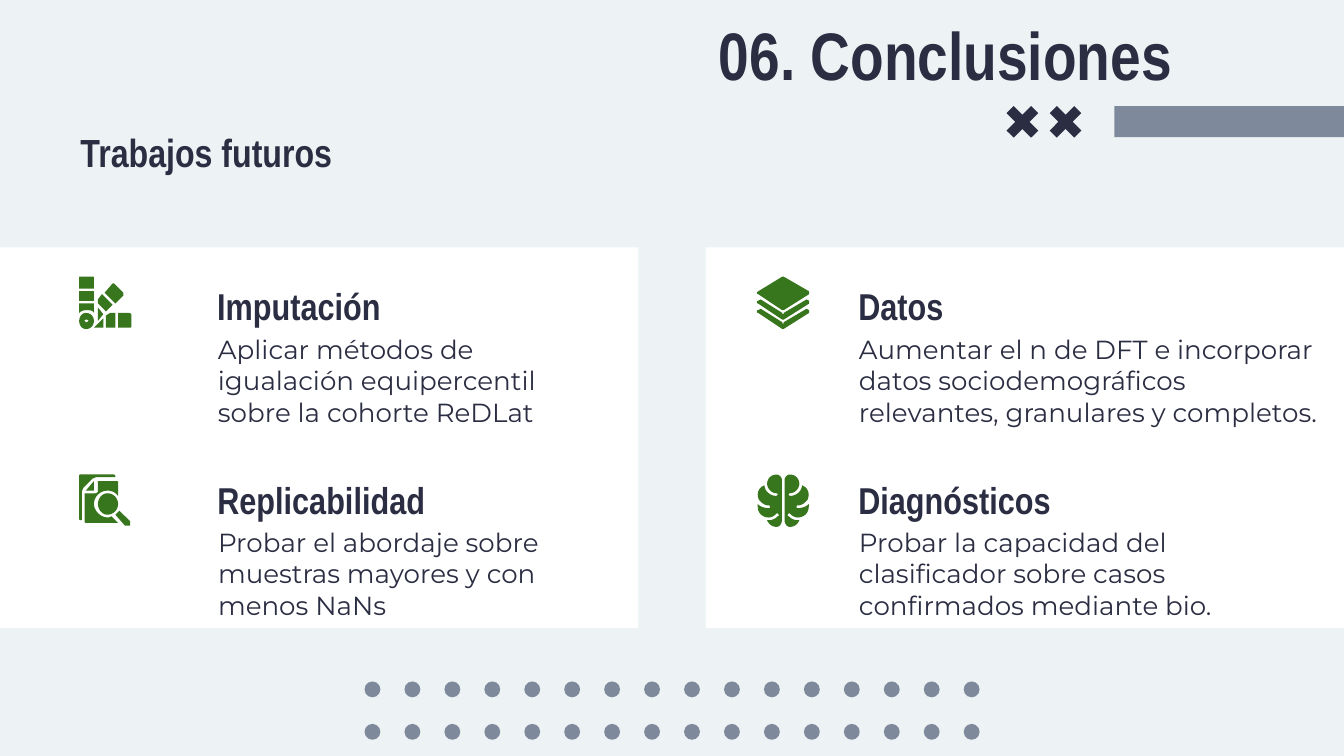
from dataclasses import dataclass
from pptx import Presentation
from pptx.dml.color import RGBColor
from pptx.enum.shapes import MSO_SHAPE
from pptx.enum.text import MSO_ANCHOR
from pptx.util import Pt


@dataclass(frozen=True)
class Theme:
    back: str = "EDF2F4"
    panel: str = "FFFFFF"
    ink: str = "2B2D42"
    slate: str = "7E899C"
    green: str = "38761D"
    head: str = "Arial Narrow"
    body: str = "Montserrat"
    title: int = 36
    topic: int = 21
    item: int = 20
    small: int = 14


UNIT = 0.72
STEPS = 6

SWATCH = [
    "M 0,11 L 0,18 11,18 11,11",
    "M 0,20 L 0,27 C 1,26 3,25 5,25 8,25 10,25 11,27 L 11,20",
    "M 1,0 C 0,0 0,0 0,1 L 0,9 11,9 11,1 C 11,0 11,0 10,0",
    "M 14,23 L 14,33 18,28",
    "M 17,13 L 14,17 14,20 20,26 25,21",
    "M 26,5 L 25,5 19,12 27,20 33,14 C 33,13 33,12 33,12 L 26,5",
    "M 5,32 C 6,32 7,32 7,33 7,33 6,34 5,34 5,34 4,33 4,33 4,32 5,32 5,32 "
    "M 5,27 C 2,27 0,30 0,33 0,36 2,39 5,39 9,39 11,36 11,33 11,30 9,27 5,27",
    "M 18,31 L 11,38 18,38",
    "M 23,27 L 20,29 20,38 27,38 27,27",
    "M 29,27 L 29,38 37,38 C 38,38 39,38 39,37 L 39,28 C 39,28 38,27 37,27",
]
SEARCH = [
    "M 1,0 C 0,0 0,1 0,1 L 0,33 C 0,33 0,34 1,34 L 2,34 2,13 "
    "C 2,12 3,11 3,10 L 10,3 C 11,3 12,2 13,2 L 27,2 27,1 C 27,1 26,0 26,0",
    "M 11,5 L 5,12 11,12",
    "M 21,14 C 17,14 14,18 14,22 14,26 17,30 21,30 "
    "26,30 29,26 29,22 29,18 26,14 21,14",
    "M 14,5 L 14,13 C 14,13 13,14 12,14 L 4,14 4,35 C 4,36 5,36 5,36 L 28,36 "
    "29,36 24,31 C 23,32 22,32 21,32 16,32 11,27 11,22 11,16 16,12 21,12 "
    "24,12 27,13 29,16 L 29,6 C 29,5 29,5 28,5",
    "M 30,27 C 29,28 28,29 27,30 L 34,38 C 35,38 35,38 36,38 "
    "37,38 37,38 38,38 38,37 38,36 38,35 L 30,27",
]
SHEET = (
    "M 3,17 L 1,18 C 0,18 0,19 0,19 0,20 1,20 1,20 L 19,32 20,32 "
    "39,20 C 39,20 39,20 39,19 39,19 39,18 39,18 L 37,17 20,27 "
    "C 20,28 20,28 20,28 19,28 19,28 19,27 L 3,17"
)
TOP = (
    "M 20,0 L 19,0 1,11 C 1,11 0,12 0,12 0,13 1,13 1,13 L 19,25 20,25 "
    "39,13 C 39,13 39,13 39,12 39,12 39,11 39,11 L 20,0"
)
LOBE = (
    "M 5,0 C 3,0 1,2 1,4 L 1,34 C 1,37 3,39 5,39 8,39 11,37 12,34 L 11,34 "
    "C 8,34 6,33 4,31 3,31 3,30 4,29 4,29 4,29 5,29 5,29 5,29 6,30 "
    "7,31 9,32 11,32 15,32 19,29 19,24 19,23 19,22 19,22 17,24 14,25 11,25 "
    "10,25 10,25 10,24 10,23 10,23 11,23 14,23 16,21 18,19 20,15 19,10 14,8 "
    "14,12 10,16 5,16 5,16 4,15 4,15 4,14 5,14 5,14 9,14 12,10 12,7 "
    "C 12,3 9,0 5,0"
)


def curve(a, b, c, d):
    for step in range(1, STEPS + 1):
        t = step / STEPS
        s = 1 - t
        yield tuple(
            s**3 * p + 3 * s * s * t * q + 3 * s * t * t * r + t**3 * e
            for p, q, r, e in zip(a, b, c, d)
        )


def trace(route):
    loops, mode, held = [], "M", []
    for word in route.split():
        if word.isalpha():
            mode = word
            continue
        held.append(tuple(int(n) for n in word.split(",")))
        if mode == "M":
            loops.append(held)
        elif mode == "L":
            loops[-1].extend(held)
        elif len(held) == 3:
            loops[-1].extend(curve(loops[-1][-1], *held))
        else:
            continue
        held = []
    return loops


class Deck:
    def __init__(self, theme):
        self.theme = theme
        self.file = Presentation()
        self.file.slide_width, self.file.slide_height = Pt(720), Pt(405)
        self.slide = self.file.slides.add_slide(self.file.slide_layouts[6])
        self.shapes = self.slide.shapes
        fill = self.slide.background.fill
        fill.solid()
        fill.fore_color.rgb = RGBColor.from_string(theme.back)

    def paint(self, shape, color):
        shape.shadow.inherit = False
        shape.fill.solid()
        shape.fill.fore_color.rgb = RGBColor.from_string(color)
        shape.line.fill.background()
        return shape

    def block(self, kind, box, color, home=None):
        home = home or self.shapes
        return self.paint(home.add_shape(kind, *map(Pt, box)), color)

    def cross(self, x, y, size):
        shape = self.block(MSO_SHAPE.CROSS, (x, y, size, size), self.theme.ink)
        shape.adjustments[0] = 0.356
        shape.rotation = 45

    def dots(self, x, y, cols, rows, dx, dy, size):
        home = self.shapes.add_group_shape().shapes
        for i in range(cols * rows):
            row, col = divmod(i, cols)
            box = (x + col * dx, y + row * dy, size, size)
            self.block(MSO_SHAPE.OVAL, box, self.theme.slate, home)

    def icon(self, x, y, routes, flip=1, home=None):
        if home is None:
            home = self.shapes.add_group_shape().shapes
        for route in routes:
            pen = None
            for loop in trace(route):
                spots = [(Pt(x + flip * UNIT * u), Pt(y + UNIT * v)) for u, v in loop]
                if pen:
                    pen.move_to(*spots[0])
                else:
                    pen = home.build_freeform(*spots[0])
                pen.add_line_segments(spots[1:], close=True)
            self.paint(pen.convert_to_shape(), self.theme.green)
        return home

    def text(self, box, words, size, bold=True, space=None):
        frame = self.shapes.add_textbox(*map(Pt, box)).text_frame
        frame.word_wrap = True
        frame.vertical_anchor = MSO_ANCHOR.TOP
        frame.margin_left = frame.margin_right = Pt(7.2)
        frame.margin_top = frame.margin_bottom = Pt(7.2)
        para = frame.paragraphs[0]
        para.text = words
        para.line_spacing = space
        para.font.name = self.theme.head if bold else self.theme.body
        para.font.size = Pt(size)
        para.font.bold = bold
        para.font.color.rgb = RGBColor.from_string(self.theme.ink)

    def item(self, x, y, width, head, body):
        self.text((x, y, width, 35.3), head, self.theme.item)
        self.text((x + 0.4, y + 26.6, width, 68), body, self.theme.small, False)


def main():
    theme = Theme()
    deck = Deck(theme)
    for x in (378, 0):
        deck.block(MSO_SHAPE.RECTANGLE, (x, 132.5, 342, 204), theme.panel)
    deck.dots(195.3, 365.1, 16, 2, 21.4, 22.75, 8.5)
    deck.block(MSO_SHAPE.RECTANGLE, (597, 56.9, 123, 16.6), theme.slate)
    for x in (538.4, 561.5):
        deck.cross(x, 56, 18.6)

    deck.text((378, 0, 312, 49), "06. Conclusiones", theme.title)
    deck.text((36, 49, 281.5, 67.7), "Trabajos futuros", theme.topic, space=1.5)

    left, right, high, low = 109.3, 452.7, 144.7, 248.2
    deck.item(left, high, 225, "Imputación",
              "Aplicar métodos de igualación equipercentil sobre la cohorte ReDLat")
    deck.item(left, low, 214.6, "Replicabilidad",
              "Probar el abordaje sobre muestras mayores y con menos NaNs")
    deck.item(right, high, 262, "Datos",
              "Aumentar el n de DFT e incorporar datos sociodemográficos "
              "relevantes, granulares y completos.")
    deck.item(right, low, 214.6, "Diagnósticos",
              "Probar la capacidad del clasificador sobre casos "
              "confirmados mediante bio.")

    deck.icon(42.4, 148.2, SWATCH)
    deck.icon(42.4, 254.2, SEARCH)
    stack = deck.icon(405.4, 148.2, [TOP, SHEET])
    deck.icon(405.4, 153.2, [SHEET], home=stack)
    brain = deck.icon(419.6, 254.2, [LOBE])
    deck.icon(419.6, 254.2, [LOBE], flip=-1, home=brain)
    deck.file.save("out.pptx")


if __name__ == "__main__":
    main()
